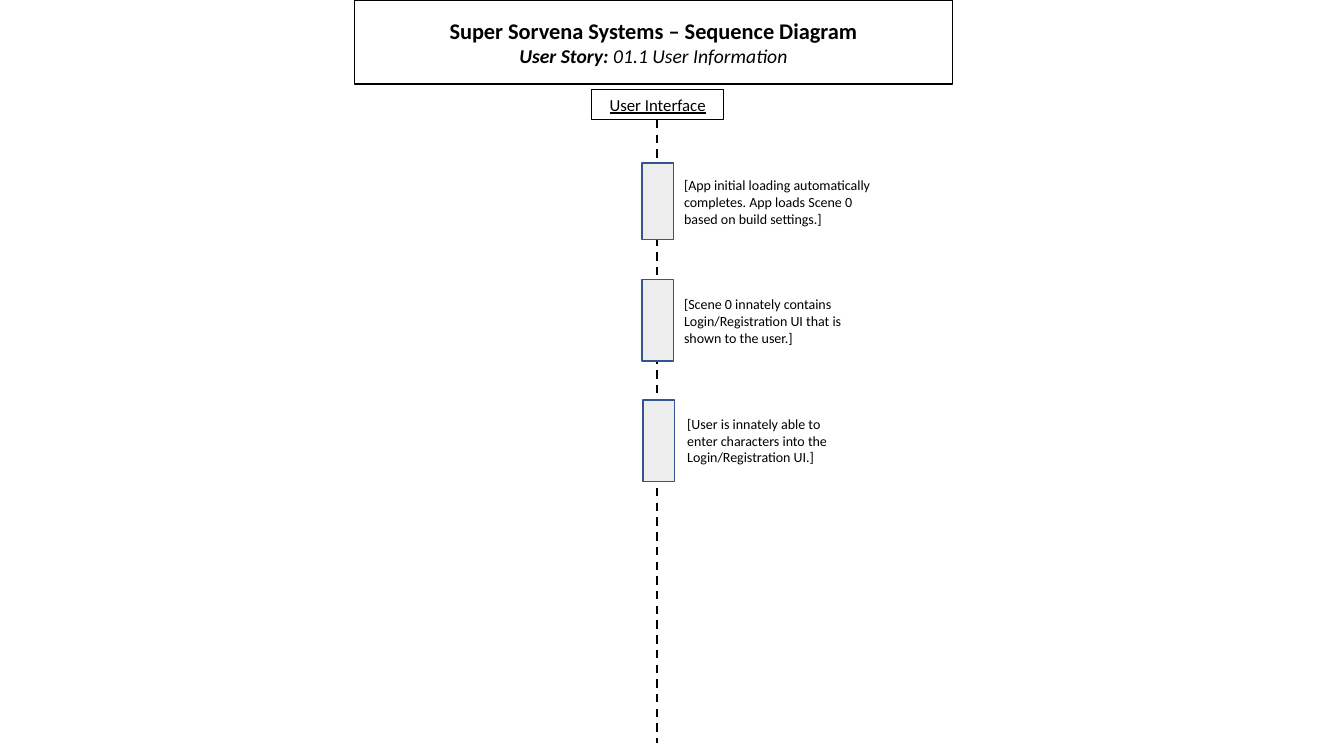
from lxml import etree
from pptx import Presentation
from pptx.dml.color import RGBColor
from pptx.enum.dml import MSO_LINE
from pptx.enum.shapes import MSO_CONNECTOR, MSO_SHAPE
from pptx.enum.text import MSO_ANCHOR, MSO_AUTO_SIZE, PP_ALIGN
from pptx.oxml.ns import qn
from pptx.util import Cm, Pt

RECT, STRAIGHT, DASH = MSO_SHAPE.RECTANGLE, MSO_CONNECTOR.STRAIGHT, MSO_LINE.DASH
CENTER, MIDDLE, TOP = PP_ALIGN.CENTER, MSO_ANCHOR.MIDDLE, MSO_ANCHOR.TOP
FIT_SHAPE = MSO_AUTO_SIZE.SHAPE_TO_FIT_TEXT

COLORS = {"ink": "000000", "bar": "EDEDED", "bar_line": "325491"}
FONT = "Calibri"


def add_run(p, text, size, bold=False, italic=False, underline=False):
    """Add one formatted run to a paragraph."""
    r = p.add_run()
    r.text = text
    f = r.font
    f.name, f.size = FONT, Pt(size)
    f.bold, f.italic, f.underline = bold, italic, underline
    f.color.rgb = RGBColor.from_string(COLORS["ink"])


def set_outline(sp, color, width=1):
    """Give a shape or connector a solid line colour and width."""
    sp.line.color.rgb = RGBColor.from_string(COLORS[color])
    sp.line.width = Pt(width)


prs = Presentation()
prs.slide_width, prs.slide_height = Cm(33.87), Cm(19.05)
s = prs.slides.add_slide(prs.slide_layouts[5])

# Title box
title = s.shapes.title
title.left, title.top, title.width, title.height = Cm(8.94), Cm(0.28), Cm(15.06), Cm(1.55)
set_outline(title, "ink")
tf = title.text_frame
tf.word_wrap, tf.auto_size, tf.vertical_anchor = True, FIT_SHAPE, MIDDLE
p = tf.paragraphs[0]
p.alignment = CENTER
add_run(p, "Super Sorvena Systems – Sequence Diagram", 16, bold=True)
p.add_line_break()
add_run(p, "User Story: ", 14, bold=True, italic=True)
add_run(p, "01.1 User Information", 14, italic=True)

# Participant and its lifeline
participant = s.shapes.add_shape(RECT, Cm(14.91), Cm(2.26), Cm(3.33), Cm(0.76))
participant.shadow.inherit = False
participant.fill.background()
set_outline(participant, "ink")
tf = participant.text_frame
tf.word_wrap, tf.auto_size, tf.vertical_anchor = True, FIT_SHAPE, MIDDLE
p = tf.paragraphs[0]
p.alignment = CENTER
add_run(p, "User Interface", 12, underline=True)

lifeline = s.shapes.add_connector(STRAIGHT, Cm(16.56), Cm(3.02), Cm(16.56), Cm(18.72))
set_outline(lifeline, "ink", 1.5)
lifeline.line.dash_style = DASH
etree.SubElement(lifeline._element.spPr, qn("a:effectLst"))

# Activation bars with notes: bar left, top, height; note left, top, width; text
activations = [
    (16.18, 4.11, 1.93, 16.99, 4.32, 5.23,
     "[App initial loading automatically completes. App loads Scene 0 based on build settings.]"),
    (16.18, 7.04, 2.06, 16.99, 7.32, 4.95,
     "[Scene 0 innately contains Login/Registration UI that is shown to the user.]"),
    (16.21, 10.08, 2.06, 17.07, 10.34, 4.27,
     "[User is innately able to enter characters into the Login/Registration UI.]"),
]
for bar_x, bar_y, bar_h, note_x, note_y, note_w, text in activations:
    bar = s.shapes.add_shape(RECT, Cm(bar_x), Cm(bar_y), Cm(0.79), Cm(bar_h))
    bar.shadow.inherit = False
    bar.fill.solid()
    bar.fill.fore_color.rgb = RGBColor.from_string(COLORS["bar"])
    set_outline(bar, "bar_line")

    note = s.shapes.add_textbox(Cm(note_x), Cm(note_y), Cm(note_w), Cm(1.55))
    tf = note.text_frame
    tf.word_wrap, tf.auto_size, tf.vertical_anchor = True, FIT_SHAPE, TOP
    add_run(tf.paragraphs[0], text, 10)

prs.save("out.pptx")
